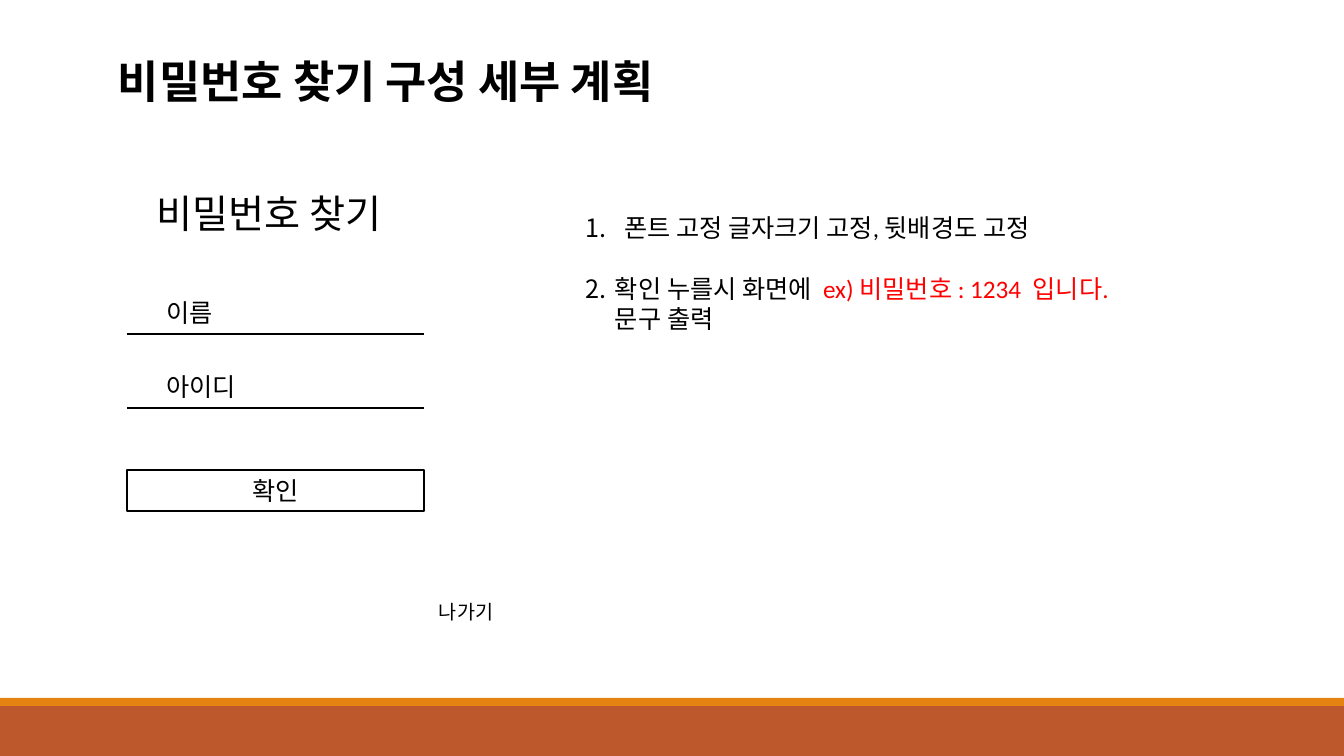
from pptx import Presentation
from pptx.dml.color import RGBColor
from pptx.enum.shapes import MSO_CONNECTOR, MSO_SHAPE
from pptx.enum.text import MSO_ANCHOR, MSO_AUTO_SIZE, PP_ALIGN
from pptx.oxml.ns import qn
from pptx.util import Pt
from lxml import etree

RECTANGLE = MSO_SHAPE.RECTANGLE
STRAIGHT = MSO_CONNECTOR.STRAIGHT
MIDDLE = MSO_ANCHOR.MIDDLE
TOP = MSO_ANCHOR.TOP
NO_FIT = MSO_AUTO_SIZE.NONE
LEFT = PP_ALIGN.LEFT
CENTER = PP_ALIGN.CENTER

BLACK = RGBColor(0x00, 0x00, 0x00)
WHITE = RGBColor(0xFF, 0xFF, 0xFF)
RED = RGBColor(0xFF, 0x00, 0x00)
RUST = RGBColor(0xBD, 0x58, 0x2C)
ORANGE = RGBColor(0xE4, 0x83, 0x12)

WIDTH, HEIGHT = 1344, 756
SLIDE_WIDTH_EMU = 12192000
FONT = "Calibri"


def px(length):
    return round(length * SLIDE_WIDTH_EMU / WIDTH)


def add_text(paragraph, text, size=18, color=BLACK, bold=False):
    run = paragraph.add_run()
    run.text = text
    run.font.name = FONT
    run.font.size = Pt(size)
    run.font.bold = bold
    run.font.color.rgb = color


def number_paragraph(paragraph, number, hanging):
    properties = paragraph._p.get_or_add_pPr()
    properties.set("marL", str(px(hanging)))
    properties.set("indent", str(-px(hanging)))
    bullet_font = etree.SubElement(properties, qn("a:buFont"))
    bullet_font.set("typeface", FONT)
    bullet = etree.SubElement(properties, qn("a:buAutoNum"))
    bullet.set("type", "arabicPeriod")
    bullet.set("startAt", str(number))


class SlideBuilder:
    def __init__(self, presentation):
        self.slide = presentation.slides.add_slide(presentation.slide_layouts[5])

    def prepare_frame(self, shape, anchor=MIDDLE, align=LEFT):
        frame = shape.text_frame
        frame.word_wrap = True
        frame.auto_size = NO_FIT
        frame.vertical_anchor = anchor
        frame.margin_left = frame.margin_right = 0
        frame.margin_top = frame.margin_bottom = 0
        frame.paragraphs[0].alignment = align
        return frame

    def title(self, text, left, top, width, height):
        shape = self.slide.shapes.title
        shape.left, shape.top = px(left), px(top)
        shape.width, shape.height = px(width), px(height)
        frame = self.prepare_frame(shape)
        add_text(frame.paragraphs[0], text, size=32, bold=True)

    def text_box(self, left, top, width, height, anchor=MIDDLE):
        shape = self.slide.shapes.add_textbox(px(left), px(top), px(width), px(height))
        return self.prepare_frame(shape, anchor)

    def label(self, text, left, top, width, height, **text_format):
        frame = self.text_box(left, top, width, height)
        add_text(frame.paragraphs[0], text, **text_format)

    def rectangle(self, left, top, width, height, fill, outline=None):
        shape = self.slide.shapes.add_shape(RECTANGLE, px(left), px(top), px(width), px(height))
        shape.shadow.inherit = False
        shape.fill.solid()
        shape.fill.fore_color.rgb = fill
        if outline is None:
            shape.line.fill.background()
        else:
            shape.line.color.rgb = outline
            shape.line.width = Pt(1.25)
        return shape

    def button(self, text, left, top, width, height):
        shape = self.rectangle(left, top, width, height, WHITE, BLACK)
        frame = self.prepare_frame(shape, align=CENTER)
        add_text(frame.paragraphs[0], text)

    def underline(self, left, top, width):
        line = self.slide.shapes.add_connector(
            STRAIGHT, px(left), px(top), px(left + width), px(top))
        line.line.color.rgb = BLACK
        line.line.width = Pt(1)
        etree.SubElement(line._element.spPr, qn("a:effectLst"))


def main():
    presentation = Presentation()
    presentation.slide_width = px(WIDTH)
    presentation.slide_height = px(HEIGHT)
    builder = SlideBuilder(presentation)

    builder.rectangle(0, 706, WIDTH, 50, RUST)
    builder.rectangle(0, 698, WIDTH, 8, ORANGE)
    builder.title("비밀번호 찾기 구성 세부 계획", 118, 49, 1170, 64)

    form_left, form_width = 127, 297
    builder.label("비밀번호 찾기", 157, 188, 267, 50, size=28)
    for row, field in enumerate(("이름", "아이디")):
        line_top = 334 + 74 * row
        builder.label(field, 166, line_top - 38, 258, 32)
        builder.underline(form_left, line_top, form_width)
    builder.button("확인", form_left, 470, form_width, 41)
    builder.label("나가기", 439, 598, 146, 28, size=14)

    notes = builder.text_box(586, 212, 625, 183, anchor=TOP)
    fixed_style = notes.paragraphs[0]
    number_paragraph(fixed_style, 1, 38)
    add_text(fixed_style, "폰트 고정 글자크기 고정, 뒷배경도 고정")
    message = notes.add_paragraph()
    number_paragraph(message, 2, 29)
    message.space_before = Pt(22)
    add_text(message, "확인 누를시 화면에  ")
    add_text(message, "ex) 비밀번호 : 1234  입니다.", color=RED)
    message.add_line_break()
    add_text(message, "문구 출력")

    presentation.save("out.pptx")


if __name__ == "__main__":
    main()
